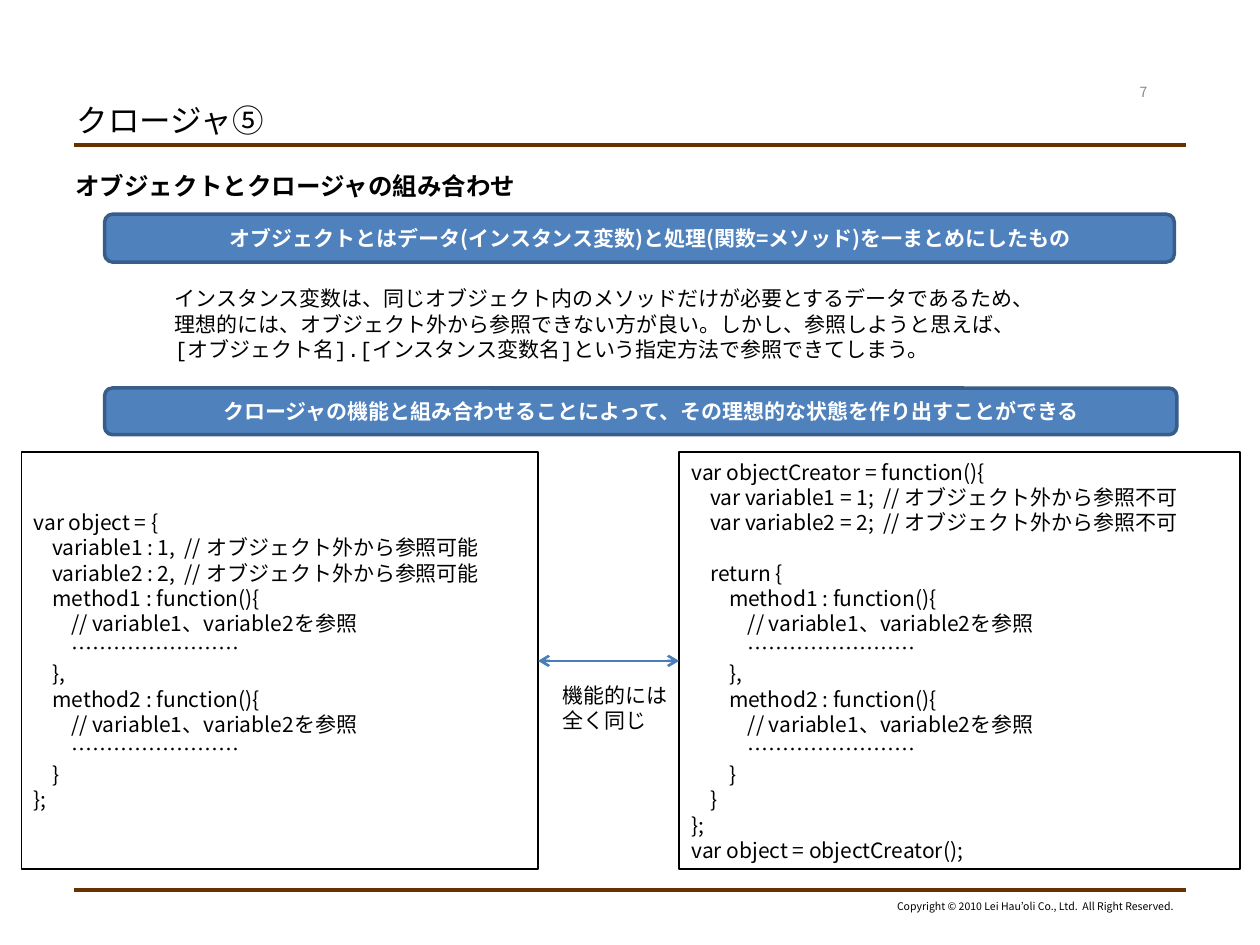
from lxml.etree import SubElement
from pptx import Presentation
from pptx.dml.color import RGBColor as Rgb
from pptx.enum.shapes import MSO_CONNECTOR as Conn, MSO_SHAPE as Kind
from pptx.enum.text import MSO_ANCHOR as Anchor, MSO_AUTO_SIZE as Auto, PP_ALIGN as Align
from pptx.oxml.ns import qn
from pptx.util import Inches, Pt

COLS, ROWS = 100, 75
WIDE, HIGH = Inches(10), Inches(7.5)
SANS, MONO = "Noto Sans CJK JP", "Courier New"
HUES = {"ink": "000000", "white": "FFFFFF", "gray": "898989", "brown": "663300",
        "blue": "4F81BD", "navy": "385D8A", "arrow": "4A7EBB"}

NOTE = """インスタンス変数は、同じオブジェクト内のメソッドだけが必要とするデータであるため、
理想的には、オブジェクト外から参照できない方が良い。しかし、参照しようと思えば、
[オブジェクト名].[インスタンス変数名]という指定方法で参照できてしまう。"""

PLAIN = """var object = {
    variable1 : 1,  // オブジェクト外から参照可能
    variable2 : 2,  // オブジェクト外から参照可能
    method1 : function(){
        // variable1、variable2を参照
        ……………………
    },
    method2 : function(){
        // variable1、variable2を参照
        ……………………
    }
};"""

CLOSED = """var objectCreator = function(){
    var variable1 = 1;  // オブジェクト外から参照不可
    var variable2 = 2;  // オブジェクト外から参照不可

    return {
        method1 : function(){
            // variable1、variable2を参照
            ……………………
        },
        method2 : function(){
            // variable1、variable2を参照
            ……………………
        }
    }
};
var object = objectCreator();"""


def hue(name):
    return Rgb.from_string(HUES[name])


def grid(col, row):
    return round(WIDE * col / COLS), round(HIGH * row / ROWS)


def area(col, row, wide, high):
    return *grid(col, row), *grid(wide, high)


def write(shape, text, size=12, font=SANS, color="ink", bold=False,
          align=Align.LEFT, anchor=Anchor.TOP, wrap=True, left=0.1):
    frame = shape.text_frame
    frame.word_wrap = wrap
    frame.auto_size = Auto.NONE
    frame.vertical_anchor = anchor
    frame.margin_left, frame.margin_right = Inches(left), Inches(0.1)
    frame.margin_top = frame.margin_bottom = Inches(0.05)
    for i, line in enumerate(text.split("\n")):
        para = frame.add_paragraph() if i else frame.paragraphs[0]
        para.alignment = align
        para.line_spacing = Pt(1.2 * size)
        run = para.add_run()
        run.text = line
        face = run.font
        face.size, face.bold, face.name = Pt(size), bold, font
        face.color.rgb = hue(color)
        SubElement(face._element, qn("a:ea"), typeface=SANS)


def label(slide, place, text, **form):
    write(slide.shapes.add_textbox(*area(*place)), text, **form)


def box(slide, kind, place, edge, width, fill=None):
    shape = slide.shapes.add_shape(kind, *area(*place))
    shape.shadow.inherit = False
    if fill:
        shape.fill.solid()
        shape.fill.fore_color.rgb = hue(fill)
    else:
        shape.fill.background()
    shape.line.color.rgb = hue(edge)
    shape.line.width = Pt(width)
    return shape


def banner(slide, place, text):
    shape = box(slide, Kind.ROUNDED_RECTANGLE, place, "navy", 2, "blue")
    write(shape, text, color="white", bold=True, align=Align.CENTER,
          anchor=Anchor.MIDDLE, left=0.27)


def code(slide, place, text):
    shape = box(slide, Kind.RECTANGLE, place, "ink", 1)
    write(shape, text, anchor=Anchor.MIDDLE)
    return shape


def rule(slide, start, end, color, width):
    line = slide.shapes.add_connector(Conn.STRAIGHT, *grid(*start), *grid(*end))
    line.line.color.rgb = hue(color)
    line.line.width = Pt(width)
    SubElement(line._element.spPr, qn("a:effectLst"))
    return line


def link(slide, left, right):
    line = rule(slide, (0, 0), (1, 1), "arrow", 1.5)
    line.begin_connect(left, 3)
    line.end_connect(right, 1)
    stroke = line.line._get_or_add_ln()
    for tip in ("a:headEnd", "a:tailEnd"):
        SubElement(stroke, qn(tip), type="arrow")


def main():
    deck = Presentation()
    deck.slide_width, deck.slide_height = WIDE, HIGH
    slide = deck.slides.add_slide(deck.slide_layouts[5])

    for row in (11.5, 70.6):
        rule(slide, (5.9, row), (94.1, row), "brown", 2.25)
    label(slide, (69.9, 70.9, 24.2, 2),
          "Copyright © 2010 Lei Hau’oli Co., Ltd.  All Right Reserved.",
          size=6, align=Align.RIGHT, wrap=False)

    title = slide.shapes.title
    title.left, title.top, title.width, title.height = area(5.1, 7.6, 56.8, 3.9)
    write(title, "クロージャ⑤", size=18, anchor=Anchor.MIDDLE)
    label(slide, (87.8, 6.1, 5.9, 2.4), "7", size=8, color="gray",
          align=Align.CENTER, anchor=Anchor.MIDDLE)
    label(slide, (5, 13.1, 90, 3.5), "オブジェクトとクロージャの組み合わせ",
          size=14, bold=True)

    banner(slide, (8.3, 17, 84.9, 3.8),
           "オブジェクトとはデータ(インスタンス変数)と処理(関数=メソッド)を一まとめにしたもの")
    banner(slide, (8.3, 30.8, 85.1, 3.7),
           "クロージャの機能と組み合わせることによって、その理想的な状態を作り出すことができる")
    label(slide, (12.9, 22.2, 70.3, 7), NOTE, font=MONO, wrap=False)

    right = code(slide, (53.9, 35.9, 44.5, 33.1), CLOSED)
    left = code(slide, (1.7, 35.9, 41, 33.1), PLAIN)
    link(slide, left, right)
    label(slide, (43.7, 53.7, 10.3, 5), "機能的には\n全く同じ", font=MONO, wrap=False)

    deck.save("out.pptx")


if __name__ == "__main__":
    main()
